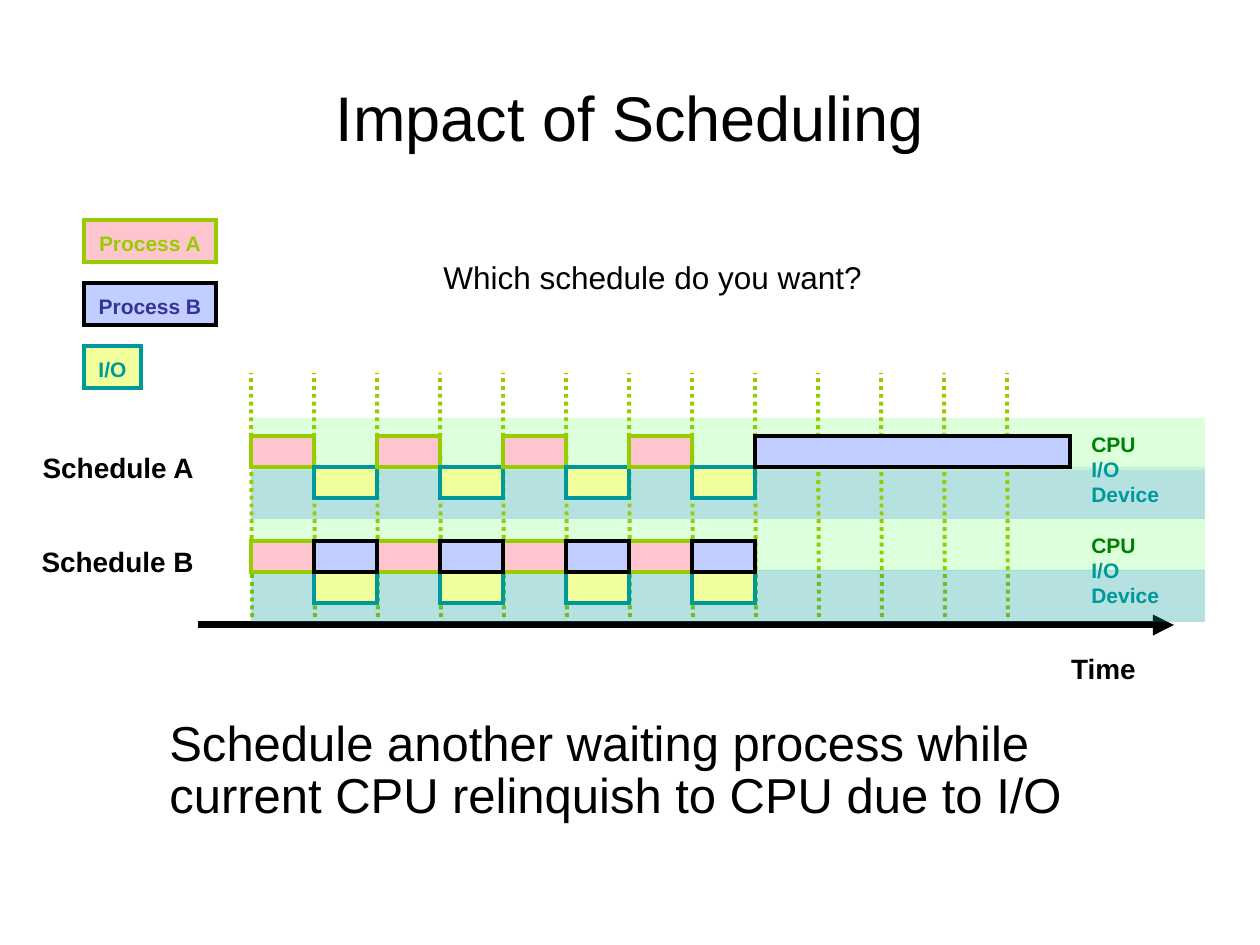
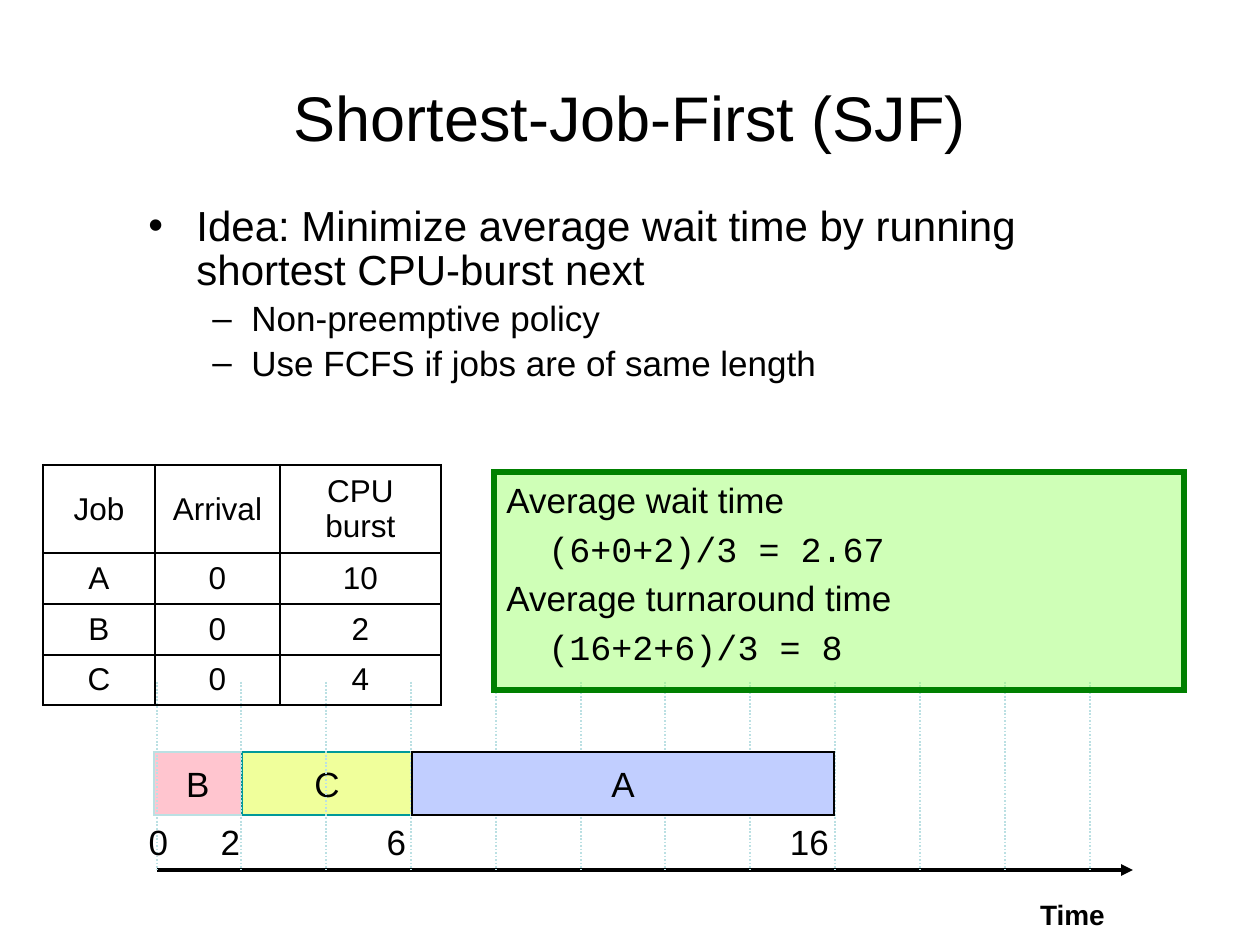
from lxml import etree
from pptx import Presentation
from pptx import util as u
from pptx.dml.color import RGBColor
from pptx.enum import dml, shapes, text
from pptx.oxml.ns import qn

BLACK = RGBColor(0x00, 0x00, 0x00)
PINK = RGBColor(0xFF, 0xC5, 0xCF)
LIME = RGBColor(0x99, 0xCC, 0x00)
PERIWINKLE = RGBColor(0xC1, 0xCE, 0xFF)
INDIGO = RGBColor(0x33, 0x33, 0x99)
YELLOW = RGBColor(0xF0, 0xFF, 0x9B)
TEAL = RGBColor(0x00, 0x99, 0x99)
GREEN = RGBColor(0x00, 0x80, 0x00)
PALE_GREEN = RGBColor(0xCC, 0xFF, 0xCC)
BRIGHT_GREEN = RGBColor(0x99, 0xFF, 0x66)
PALE_TEAL = RGBColor(0xBB, 0xE0, 0xE3)

PROCESS_A = (PINK, LIME)
PROCESS_B = (PERIWINKLE, BLACK)
IO = (YELLOW, TEAL)

PX_PER_INCH = 126
LEFT, CENTER, RIGHT = text.PP_ALIGN.LEFT, text.PP_ALIGN.CENTER, text.PP_ALIGN.RIGHT
TOP, MIDDLE, BOTTOM = text.MSO_ANCHOR.TOP, text.MSO_ANCHOR.MIDDLE, text.MSO_ANCHOR.BOTTOM
SLOT = 63
BLOCK_HEIGHT = 31


def px(length):
    """Turn a length in px into EMU."""
    return u.Emu(round(length * u.Inches(1) / PX_PER_INCH))


def format_paragraph(paragraph, content, size=18, bold=False, color=BLACK, font="Arial",
                     align=LEFT, before=0, spacing=None, margin=0, hanging=0, bullet=None):
    """Fill one paragraph with a formatted run."""
    run = paragraph.add_run()
    run.text = content
    run.font.size, run.font.bold, run.font.name = u.Pt(size), bold, font
    run.font.color.rgb = color
    paragraph.alignment = align
    paragraph.space_before = u.Pt(before)
    if spacing:
        paragraph.line_spacing = spacing
    properties = paragraph._p.get_or_add_pPr()
    properties.set("marL", str(px(margin)))
    properties.set("indent", str(px(-hanging)))
    if bullet:
        etree.SubElement(properties, qn("a:buFont")).set("typeface", font)
        etree.SubElement(properties, qn("a:buChar")).set("char", bullet)


def write(frame, *contents, anchor=TOP, wrap=True, **style):
    """Write paragraphs, each a string or a pair of string and own format."""
    frame.word_wrap = wrap
    frame.vertical_anchor = anchor
    for index, content in enumerate(contents):
        words, own = (content, {}) if isinstance(content, str) else content
        paragraph = frame.add_paragraph() if index else frame.paragraphs[0]
        format_paragraph(paragraph, words, **{**style, **own})


def add_text(slide, box, *contents, **style):
    """Add a text box."""
    shape = slide.shapes.add_textbox(*map(px, box))
    write(shape.text_frame, *contents, **style)


def add_block(slide, box, fill, line=None, width=2.25, alpha=None):
    """Add a rectangle, with an optional outline and opacity in percent."""
    shape = slide.shapes.add_shape(shapes.MSO_SHAPE.RECTANGLE, *map(px, box))
    shape.shadow.inherit = False
    shape.fill.solid()
    shape.fill.fore_color.rgb = fill
    if alpha:
        color = shape._element.spPr.find(qn("a:solidFill"))[0]
        etree.SubElement(color, qn("a:alpha")).set("val", str(alpha * 1000))
    if line is None:
        shape.line.fill.background()
    else:
        shape.line.color.rgb = line
        shape.line.width = u.Pt(width)
        outline = shape.line._get_or_add_ln()
        etree.SubElement(outline, qn("a:miter")).set("lim", "800000")
    return shape


def add_line(slide, start, end, color, width, dotted=False, arrow=False):
    """Add a straight line."""
    connector = slide.shapes.add_connector(
        shapes.MSO_CONNECTOR.STRAIGHT, *map(px, (*start, *end)))
    connector.line.color.rgb = color
    connector.line.width = u.Pt(width)
    if dotted:
        connector.line.dash_style = dml.MSO_LINE.ROUND_DOT
    if arrow:
        outline = connector.line._get_or_add_ln()
        etree.SubElement(outline, qn("a:tailEnd")).set("type", "triangle")
    etree.SubElement(connector._element.spPr, qn("a:effectLst"))


def add_slide(presentation, title):
    """Add a blank slide with its title."""
    slide = presentation.slides.add_slide(presentation.slide_layouts[6])
    add_text(slide, (63, 38, 1134, 157), title, size=36, align=CENTER, anchor=MIDDLE)
    return slide


def add_time_axis(slide, left, top, width, label_left, label_top):
    """Add the time arrow and its caption."""
    add_line(slide, (left, top), (left + 976, top), BLACK, width, arrow=True)
    add_text(slide, (label_left, label_top, 91, 47), "Time", size=16, bold=True,
             align=CENTER, anchor=BOTTOM, wrap=False)


def add_legend(slide, left, top):
    """Add the key to the block colours."""
    entries = (("Process A", 132, PROCESS_A, LIME),
               ("Process B", 132, PROCESS_B, INDIGO),
               ("I/O", 57, IO, TEAL))
    for row, (name, width, colors, color) in enumerate(entries):
        shape = add_block(slide, (left, top + row * SLOT, width, 42), *colors)
        write(shape.text_frame, name, size=12, bold=True, color=color,
              align=CENTER, anchor=BOTTOM, wrap=False)


def add_band(slide, left, top, color, alpha):
    """Add one device's background band."""
    add_block(slide, (left, top, 954, 52), color, alpha=alpha)


def add_lane_labels(slide, left, top):
    """Name the two devices of a lane whose CPU band starts at top."""
    style = {"size": 12, "bold": True, "anchor": BOTTOM}
    add_text(slide, (left, top + 8, 100, 37), "CPU", color=GREEN, **style)
    add_text(slide, (left, top + 31, 120, 64), "I/O Device", color=TEAL, **style)


def add_bursts(slide, left, top, process_b_slots):
    """Add process A's bursts and I/O, and process B as (slot, length) pairs."""
    def burst(slot, row, colors, length=1):
        box = (left + slot * SLOT, top + row * BLOCK_HEIGHT, length * SLOT, BLOCK_HEIGHT)
        add_block(slide, box, *colors)

    for slot in range(0, 8, 2):
        burst(slot, 0, PROCESS_A)
        burst(slot + 1, 1, IO)
    for slot, length in process_b_slots:
        burst(slot, 0, PROCESS_B, length)


def add_schedules(slide, left, top):
    """Add the two schedules against time."""
    second = top + 101
    add_band(slide, left, second, PALE_GREEN, 68)
    add_band(slide, left, top + 49, TEAL, 29)
    add_band(slide, left, top, PALE_GREEN, 68)
    for slot in range(13):
        x = left + slot * SLOT
        add_line(slide, (x + 1, top + 207), (x, top - 45), LIME, 2.25, dotted=True)
    add_time_axis(slide, left - 53, top + 207, 4, left + 807, top + 226)
    for name, offset in (("Schedule A", 29), ("Schedule B", 123)):
        add_text(slide, (left - 241, top + offset, 196, 41), name, size=16, bold=True,
                 align=RIGHT, anchor=MIDDLE)
    add_bursts(slide, left, top + 18, [(8, 5)])
    add_band(slide, left, second + 51, TEAL, 29)
    add_bursts(slide, left, top + 123, [(slot, 1) for slot in range(1, 8, 2)])
    for lane_top in (top, second):
        add_lane_labels(slide, left + 828, lane_top)


def build_scheduling_slide(presentation):
    """Build the slide comparing two schedules."""
    slide = add_slide(presentation, "Impact of Scheduling")
    add_legend(slide, 84, 220)
    add_schedules(slide, 251, 418)
    add_text(slide, (157, 713, 1017, 168),
             "Schedule another waiting process while current CPU relinquish to CPU due to I/O",
             size=28, spacing=0.89, before=5.6)
    add_text(slide, (431, 252, 449, 50), "Which schedule do you want?", wrap=False)


def add_job_table(slide, left, top):
    """Add the table of jobs."""
    rows = (("Job", "Arrival", "CPU burst"), ("A", "0", "10"), ("B", "0", "2"), ("C", "0", "4"))
    widths, heights = (112, 125, 161), (88, 50, 51, 50)
    table = slide.shapes.add_table(
        len(rows), len(widths), *map(px, (left, top, sum(widths), sum(heights)))).table
    table.first_row = table.horz_banding = False
    for column, width in zip(table.columns, widths):
        column.width = px(width)
    for row, height, values in zip(table.rows, heights, rows):
        row.height = px(height)
        for cell, value in zip(row.cells, values):
            write(cell.text_frame, value, align=CENTER, before=3.6)
            cell.vertical_anchor = MIDDLE
            set_borders(cell)
            cell.fill.background()


def set_borders(cell):
    """Draw a black line on each side of a table cell."""
    properties = cell._tc.get_or_add_tcPr()
    for side in ("a:lnL", "a:lnR", "a:lnT", "a:lnB"):
        border = etree.SubElement(properties, qn(side), w=str(u.Pt(1.5)))
        fill = etree.SubElement(border, qn("a:solidFill"))
        etree.SubElement(fill, qn("a:srgbClr"), val=str(BLACK))


def add_averages(slide, box):
    """Add the panel of average times."""
    shape = add_block(slide, box, BRIGHT_GREEN, GREEN, width=3, alpha=47)
    formula = {"font": "Courier New", "margin": 42}
    write(shape.text_frame, "Average wait time", ("(6+0+2)/3 = 2.67", formula),
          "Average turnaround time", ("(16+2+6)/3 = 8", formula), size=20, before=4)


def add_job(slide, name, start, end, top, colors):
    """Add one job's bar."""
    shape = add_block(slide, (start, top, end - start, 63), *colors, width=1.5)
    write(shape.text_frame, name, size=20, align=CENTER, anchor=MIDDLE, wrap=False)


def add_job_timeline(slide, left, top):
    """Add the jobs in order of execution."""
    axis_top = top + 118
    add_time_axis(slide, left, axis_top, 2.25, left + 870, axis_top + 20)
    add_job(slide, "B", left - 3, left + 85, top, (PINK, PALE_TEAL))
    add_job(slide, "C", left + 85, left + 255, top, IO)
    for tick in range(12):
        x = left + tick * 933 // 11
        add_line(slide, (x, top - 70), (x, axis_top), PALE_TEAL, 1, dotted=True)
    add_job(slide, "A", left + 255, left + 677, top, PROCESS_B)
    for time, center in (("0", 1), ("2", 73), ("6", 239), ("16", 652)):
        add_text(slide, (left + center - 36, top + 63, 73, 54), time, size=20,
                 align=CENTER, anchor=BOTTOM, wrap=False)


def build_shortest_job_slide(presentation):
    """Build the slide on shortest-job-first."""
    slide = add_slide(presentation, "Shortest-Job-First (SJF)")
    detail = {"size": 20, "before": 4, "margin": 103, "hanging": 39, "bullet": "–"}
    add_text(slide, (136, 199, 987, 210),
             "Idea: Minimize average wait time by running shortest CPU-burst next",
             ("Non-preemptive policy", detail),
             ("Use FCFS if jobs are of same length", detail),
             size=24, before=4.8, spacing=0.89, margin=48, hanging=48, bullet="•")
    add_job_timeline(slide, 157, 752)
    add_job_table(slide, 43, 465)
    add_averages(slide, (494, 472, 690, 218))


def main():
    """Build and save the presentation."""
    presentation = Presentation()
    presentation.slide_width, presentation.slide_height = px(1260), px(945)
    build_scheduling_slide(presentation)
    build_shortest_job_slide(presentation)
    presentation.save("out.pptx")


if __name__ == "__main__":
    main()
